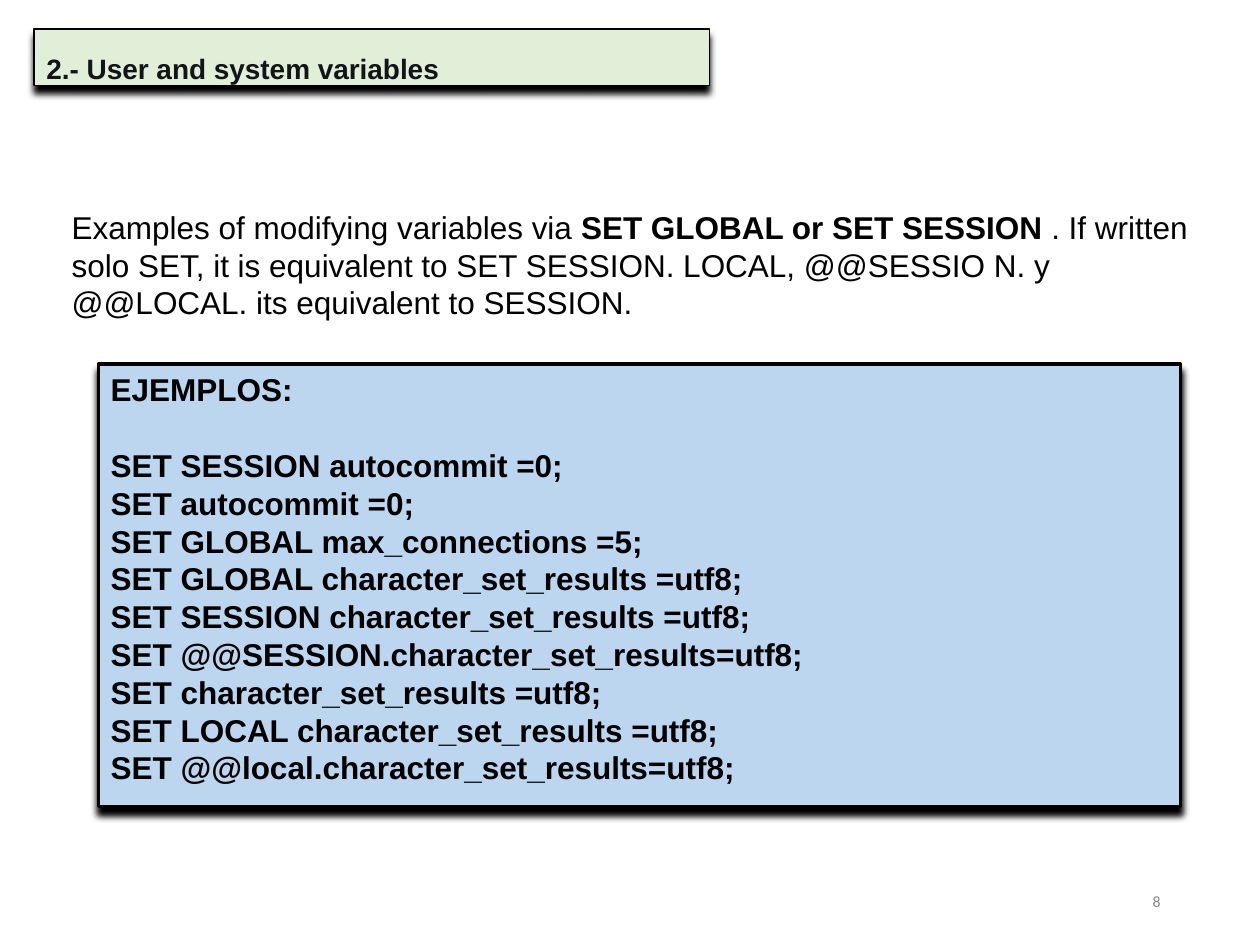
from dataclasses import dataclass

import lxml.etree
import pptx
import pptx.dml.color
import pptx.enum.shapes
import pptx.enum.text
import pptx.oxml.ns
import pptx.util

Inches = pptx.util.Inches
Pt = pptx.util.Pt
RGBColor = pptx.dml.color.RGBColor

BLACK = RGBColor(0x00, 0x00, 0x00)
HEADING_INK = RGBColor(0x11, 0x15, 0x1A)
NUMBER_GREY = RGBColor(0x89, 0x89, 0x89)
PALE_GREEN = RGBColor(0xE1, 0xEF, 0xD8)
PALE_BLUE = RGBColor(0xBB, 0xD6, 0xEE)
BODY_LINE = Pt(21.6)


@dataclass(frozen=True)
class Frame:
    left: float
    top: float
    width: float
    height: float

    def lengths(self) -> list[pptx.util.Length]:
        return [Inches(value) for value in (self.left, self.top, self.width, self.height)]


@dataclass(frozen=True)
class Style:
    size: float
    color: RGBColor = BLACK
    bold: bool = False
    font: str = "Arial"


BODY = Style(18)
BODY_BOLD = Style(18, bold=True)
HEADING = Style(16, HEADING_INK, bold=True)
NUMBER = Style(9, NUMBER_GREY, font="Calibri")

EXAMPLES = [
    "EJEMPLOS:",
    "SET SESSION autocommit =0;",
    "SET autocommit =0;",
    "SET GLOBAL max_connections =5;",
    "SET GLOBAL character_set_results =utf8;",
    "SET SESSION character_set_results =utf8;",
    "SET @@SESSION.character_set_results=utf8;",
    "SET character_set_results =utf8;",
    "SET LOCAL character_set_results =utf8;",
    "SET @@local.character_set_results=utf8;",
]


def add_run(paragraph, text: str, style: Style) -> None:
    run = paragraph.add_run()
    run.text = text
    run.font.name = style.font
    run.font.size = Pt(style.size)
    run.font.bold = style.bold
    run.font.color.rgb = style.color


def add_shadow(shape) -> None:
    qualified = pptx.oxml.ns.qn
    shape.shadow.inherit = False
    effects = shape._element.spPr.find(qualified("a:effectLst"))
    distance = str(int(Pt(4)))
    shadow = lxml.etree.SubElement(
        effects, qualified("a:outerShdw"), blurRad=distance, dist=distance, dir="5400000"
    )
    lxml.etree.SubElement(shadow, qualified("a:srgbClr"), val=str(BLACK))


def add_panel(slide, frame: Frame, fill: RGBColor, line_width: float):
    panel = slide.shapes.add_shape(
        pptx.enum.shapes.MSO_SHAPE.RECTANGLE, *frame.lengths()
    )
    panel.fill.solid()
    panel.fill.fore_color.rgb = fill
    panel.line.color.rgb = BLACK
    panel.line.width = Pt(line_width)
    add_shadow(panel)
    panel.text_frame.word_wrap = True
    panel.text_frame.vertical_anchor = pptx.enum.text.MSO_ANCHOR.TOP
    return panel.text_frame


def add_text_box(slide, frame: Frame):
    text_frame = slide.shapes.add_textbox(*frame.lengths()).text_frame
    text_frame.word_wrap = True
    return text_frame


def add_explanation(slide) -> None:
    text_frame = add_text_box(slide, Frame(0.47, 0.7, 9.14, 6.16))
    text_frame.margin_top = Inches(0.95)
    paragraph = text_frame.paragraphs[0]
    paragraph.line_spacing = BODY_LINE
    add_run(paragraph, "Examples of modifying variables via ", BODY)
    add_run(paragraph, "SET GLOBAL or SET SESSION ", BODY_BOLD)
    add_run(
        paragraph,
        ". If written solo SET, it is equivalent to SET SESSION. LOCAL, "
        "@@SESSIO N. y @@LOCAL. its equivalent to SESSION.",
        BODY,
    )


def add_slide_number(slide) -> None:
    text_frame = add_text_box(slide, Frame(7.06, 6.95, 2.25, 0.4))
    text_frame.vertical_anchor = pptx.enum.text.MSO_ANCHOR.MIDDLE
    paragraph = text_frame.paragraphs[0]
    paragraph.alignment = pptx.enum.text.PP_ALIGN.RIGHT
    add_run(paragraph, "8", NUMBER)


def add_examples(slide) -> None:
    text_frame = add_panel(slide, Frame(0.78, 2.89, 8.59, 3.51), PALE_BLUE, 2)
    for index, example in enumerate(EXAMPLES):
        paragraph = text_frame.add_paragraph() if index else text_frame.paragraphs[0]
        paragraph.alignment = pptx.enum.text.PP_ALIGN.LEFT
        paragraph.line_spacing = BODY_LINE
        add_run(paragraph, example, BODY_BOLD)
    text_frame.paragraphs[0].space_after = BODY_LINE


def add_heading(slide) -> None:
    text_frame = add_panel(slide, Frame(0.27, 0.23, 5.36, 0.45), PALE_GREEN, 0.75)
    paragraph = text_frame.paragraphs[0]
    paragraph.alignment = pptx.enum.text.PP_ALIGN.LEFT
    paragraph.line_spacing = 1.5
    add_run(paragraph, "2.- User and system variables", HEADING)


def main() -> None:
    presentation = pptx.Presentation()
    presentation.slide_width = Inches(10)
    presentation.slide_height = Inches(7.5)
    slide = presentation.slides.add_slide(presentation.slide_layouts[6])
    add_explanation(slide)
    add_slide_number(slide)
    add_examples(slide)
    add_heading(slide)
    presentation.save("out.pptx")


if __name__ == "__main__":
    main()
